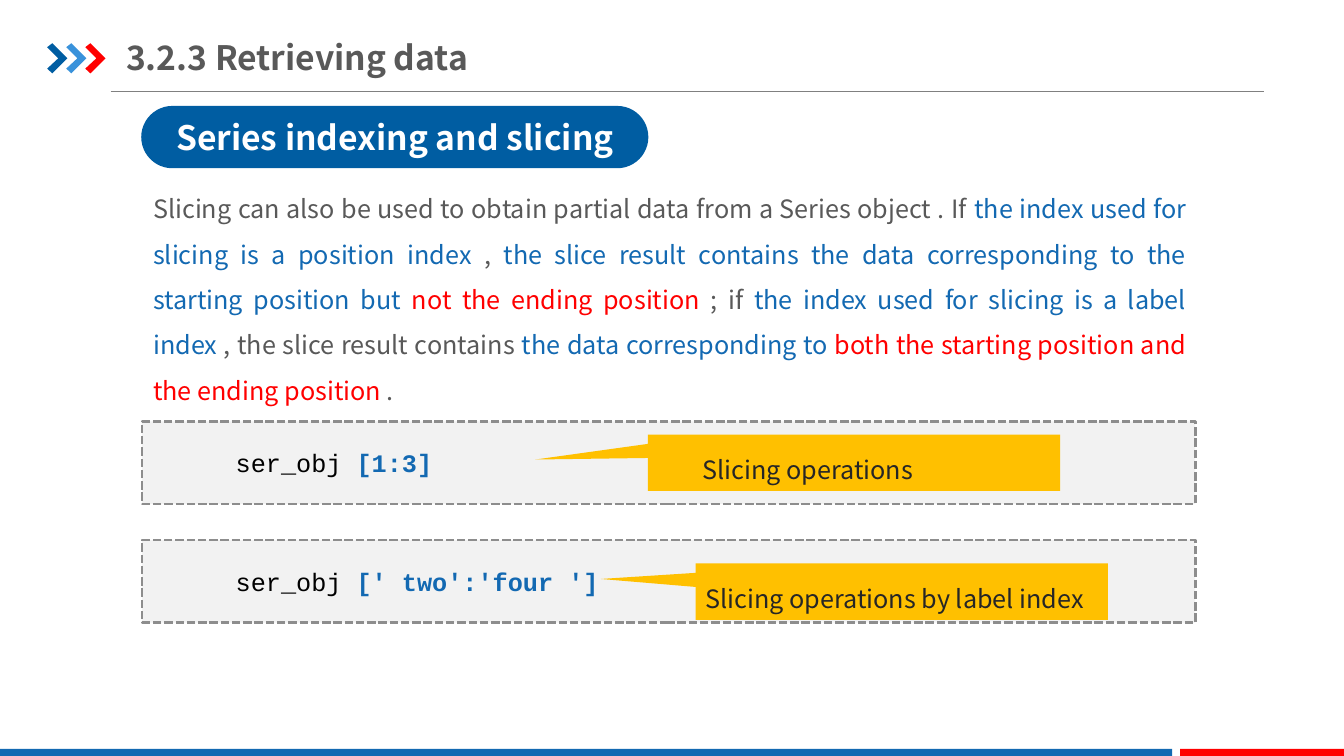
import pptx
import pptx.util
import pptx.dml.color
import pptx.enum.dml
import pptx.enum.shapes
import pptx.enum.text
import pptx.oxml.ns
import lxml.etree

Cm = pptx.util.Cm
Pt = pptx.util.Pt
RGBColor = pptx.dml.color.RGBColor
SHAPE = pptx.enum.shapes.MSO_SHAPE
ALIGN = pptx.enum.text.PP_ALIGN
ANCHOR = pptx.enum.text.MSO_ANCHOR

NAVY = RGBColor(0x00, 0x5D, 0xA2)
SKY = RGBColor(0x39, 0x92, 0xDB)
BLUE = RGBColor(0x13, 0x69, 0xB2)
RED = RGBColor(0xFF, 0x00, 0x00)
AMBER = RGBColor(0xFF, 0xC0, 0x00)
WHITE = RGBColor(0xFF, 0xFF, 0xFF)
BLACK = RGBColor(0x00, 0x00, 0x00)
INK = RGBColor(0x26, 0x26, 0x26)
TEXT = RGBColor(0x59, 0x59, 0x59)
RULE = RGBColor(0x80, 0x80, 0x80)
DASH = RGBColor(0x8D, 0x8D, 0x8D)
PALE = RGBColor(0xF2, 0xF2, 0xF2)
SANS = "Noto Sans CJK SC"
MONO = "Courier New"


def add_block(kind, x, y, w, h, color):
    sp = s.shapes.add_shape(kind, Cm(x), Cm(y), Cm(w), Cm(h))
    sp.shadow.inherit = False
    sp.fill.solid()
    sp.fill.fore_color.rgb = color
    sp.line.fill.background()
    return sp


def write(sp, runs, size=18, font=SANS, align=ALIGN.LEFT, spacing=1.0):
    tf = sp.text_frame
    tf.word_wrap = True
    p = tf.paragraphs[0]
    p.alignment = align
    p.line_spacing = spacing
    for text, color, bold in runs:
        r = p.add_run()
        r.text = text
        r.font.name = font
        r.font.size = Pt(size)
        r.font.bold = bold
        r.font.color.rgb = color
    return p


prs = pptx.Presentation()
prs.slide_width = Cm(33.87)
prs.slide_height = Cm(19.05)
s = prs.slides.add_slide(prs.slide_layouts[5])

rule = s.shapes.add_connector(
    pptx.enum.shapes.MSO_CONNECTOR.STRAIGHT, Cm(2.79), Cm(2.31), Cm(31.85), Cm(2.31))
rule.line.color.rgb = RULE
rule.line.width = Pt(0.75)
lxml.etree.SubElement(rule._element.spPr, pptx.oxml.ns.qn("a:effectLst"))

chevron = [(0, 0.1), (0.13, 0), (0.51, 0.38), (0.13, 0.76), (0, 0.64), (0.28, 0.38)]
for i, color in enumerate([NAVY, SKY, RED]):
    points = [(Cm(1.19 + 0.48 * i + x), Cm(1.09 + y)) for x, y in chevron]
    outline = s.shapes.build_freeform(*points[0])
    outline.add_line_segments(points[1:], close=True)
    sp = outline.convert_to_shape()
    sp.shadow.inherit = False
    sp.fill.solid()
    sp.fill.fore_color.rgb = color
    sp.line.fill.background()

add_block(SHAPE.RECTANGLE, 0, 18.87, 29.54, 0.18, BLUE)
add_block(SHAPE.RECTANGLE, 29.74, 18.87, 4.13, 0.18, RED)

title = s.shapes.title
title.left, title.top, title.width, title.height = Cm(3.18), Cm(0.74), Cm(12.75), Cm(1.4)
tf = title.text_frame
tf.auto_size = pptx.enum.text.MSO_AUTO_SIZE.NONE
tf.margin_left = tf.margin_right = 0
tf.vertical_anchor = ANCHOR.MIDDLE
write(title, [("3.2.3 Retrieving data", TEXT, True)], size=24)

pill = add_block(SHAPE.ROUNDED_RECTANGLE, 3.56, 2.67, 12.78, 1.57, NAVY)
pill.adjustments[0] = 0.5
pill.text_frame.vertical_anchor = ANCHOR.MIDDLE
write(pill, [("Series indexing and slicing", WHITE, True)], size=24, align=ALIGN.CENTER)

body = s.shapes.add_textbox(Cm(3.61), Cm(4.37), Cm(26.54), Cm(5.89))
write(body, [
    ("Slicing can also be used to obtain partial data from a Series object . If ", TEXT, False),
    ("the index used for slicing is a position index ", BLUE, False),
    (", ", TEXT, False),
    ("the slice result contains the data corresponding to the starting position but ", BLUE, False),
    ("not the ending position ", RED, False),
    ("; if ", TEXT, False),
    ("the index used for slicing is a label index ", BLUE, False),
    (", the slice result contains ", TEXT, False),
    ("the data corresponding to ", BLUE, False),
    ("both the starting position and the ending position ", RED, False),
    (".", TEXT, False),
], align=ALIGN.JUSTIFY, spacing=1.5)

examples = [
    (10.62, "[1:3]", 16.33, 10.95, (-0.773, -0.056), "Slicing operations", 17.45, 8.18),
    (13.61, "[' two':'four ']", 17.53, 14.2, (-0.73, -0.225),
     "Slicing operations by label index", 17.53, 10.69),
]
for top, code, note_x, note_y, tip, note, label_x, label_w in examples:
    frame = add_block(SHAPE.RECTANGLE, 3.58, top, 26.54, 2.08, PALE)
    frame.line.color.rgb = DASH
    frame.line.width = Pt(2)
    frame.line.dash_style = pptx.enum.dml.MSO_LINE.SQUARE_DOT

    box = s.shapes.add_textbox(Cm(4.95), Cm(top + 0.41), Cm(23.88), Cm(1.13))
    p = write(box, [("ser_obj ", BLACK, False), (code, BLUE, True)], font=MONO, spacing=1.15)
    p._p.get_or_add_pPr().set("indent", str(Cm(0.74)))

    callout = add_block(SHAPE.RECTANGULAR_CALLOUT, note_x, note_y, 10.39, 1.42, AMBER)
    callout.adjustments[0], callout.adjustments[1] = tip
    label = s.shapes.add_textbox(Cm(label_x), Cm(note_y), Cm(label_w), Cm(1.42))
    write(label, [(note, INK, False)], spacing=1.5)

prs.save("out.pptx")
